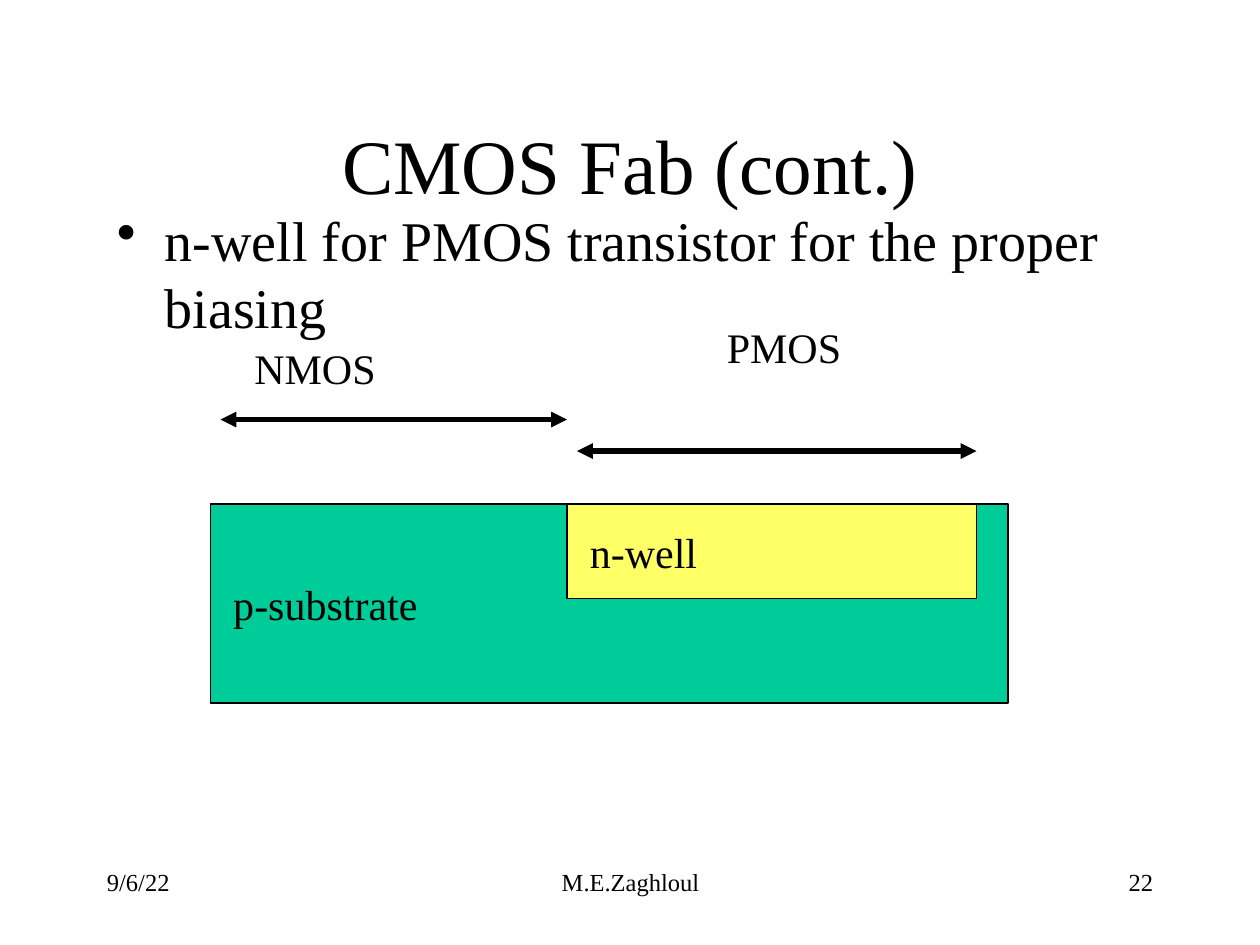
import pptx
import pptx.dml.color
import pptx.enum.shapes
import pptx.enum.text
import pptx.oxml.ns
import pptx.util
from lxml import etree
from pptx.util import Inches

ALIGN = pptx.enum.text.PP_ALIGN
ANCHOR = pptx.enum.text.MSO_ANCHOR
BLACK = "000000"


def color(hex_string):
    return pptx.dml.color.RGBColor.from_string(hex_string)


def write(shape, text, size, align=ALIGN.LEFT, anchor=ANCHOR.TOP):
    """Fill a shape with one styled paragraph and return the paragraph."""
    shape.text_frame.word_wrap = True
    shape.text_frame.vertical_anchor = anchor
    paragraph = shape.text_frame.paragraphs[0]
    paragraph.text = text
    paragraph.alignment = align
    paragraph.font.name = "Times New Roman"
    paragraph.font.size = pptx.util.Pt(size)
    paragraph.font.color.rgb = color(BLACK)
    return paragraph


presentation = pptx.Presentation()
presentation.slide_width = Inches(10)
presentation.slide_height = Inches(7.5)
slide = presentation.slides.add_slide(presentation.slide_layouts[6])
shapes = slide.shapes

# Footer
for left, width, text, align in [
    (0.75, 2.08, "9/6/22", ALIGN.LEFT),
    (3.42, 3.17, "M.E.Zaghloul", ALIGN.CENTER),
    (7.17, 2.08, "22", ALIGN.RIGHT),
]:
    footer = shapes.add_textbox(Inches(left), Inches(6.83), Inches(width), Inches(0.5))
    write(footer, text, 14, align)

# Title and bullet
title = shapes.add_textbox(Inches(0.75), Inches(0.67), Inches(8.5), Inches(1.25))
write(title, "CMOS Fab (cont.)", 44, ALIGN.CENTER, ANCHOR.MIDDLE)

body = shapes.add_textbox(Inches(0.83), Inches(1.58), Inches(8.5), Inches(4.5))
bullet = write(body, "n-well for PMOS transistor for the proper biasing", 32)
properties = bullet._p.get_or_add_pPr()
properties.set("marL", str(Inches(0.38)))
properties.set("indent", str(-Inches(0.38)))
bullet_character = etree.Element(pptx.oxml.ns.qn("a:buChar"), char="•")
properties.insert_element_before(bullet_character, "a:tabLst", "a:defRPr", "a:extLst")

# Wafer cross-section
for left, width, height, fill, text in [
    (1.67, 6.33, 1.58, "00CC99", " p-substrate"),
    (4.5, 3.25, 0.75, "FFFF66", " n-well"),
]:
    region = shapes.add_shape(
        pptx.enum.shapes.MSO_SHAPE.RECTANGLE,
        Inches(left), Inches(4), Inches(width), Inches(height),
    )
    region.shadow.inherit = False
    region.fill.solid()
    region.fill.fore_color.rgb = color(fill)
    region.line.color.rgb = color(BLACK)
    region.line.width = pptx.util.Pt(0.75)
    write(region, text, 24, anchor=ANCHOR.MIDDLE)

# Transistor extents
for start, end, top in [(4.58, 7.75, 3.58), (1.75, 4.5, 3.33)]:
    arrow = shapes.add_connector(
        pptx.enum.shapes.MSO_CONNECTOR.STRAIGHT,
        Inches(start), Inches(top), Inches(end), Inches(top),
    )
    arrow.line.color.rgb = color(BLACK)
    arrow.line.width = pptx.util.Pt(3)
    line = arrow.line._get_or_add_ln()
    for arrowhead in ("a:headEnd", "a:tailEnd"):
        etree.SubElement(line, pptx.oxml.ns.qn(arrowhead), type="triangle")
    etree.SubElement(arrow._element.spPr, pptx.oxml.ns.qn("a:effectLst"))

for left, top, width, text in [(5.67, 2.5, 1.67, "PMOS"), (1.92, 2.67, 2, "NMOS")]:
    label = shapes.add_textbox(Inches(left), Inches(top), Inches(width), Inches(0.5))
    label.text_frame.auto_size = pptx.enum.text.MSO_AUTO_SIZE.SHAPE_TO_FIT_TEXT
    write(label, text, 24)

presentation.save("out.pptx")
